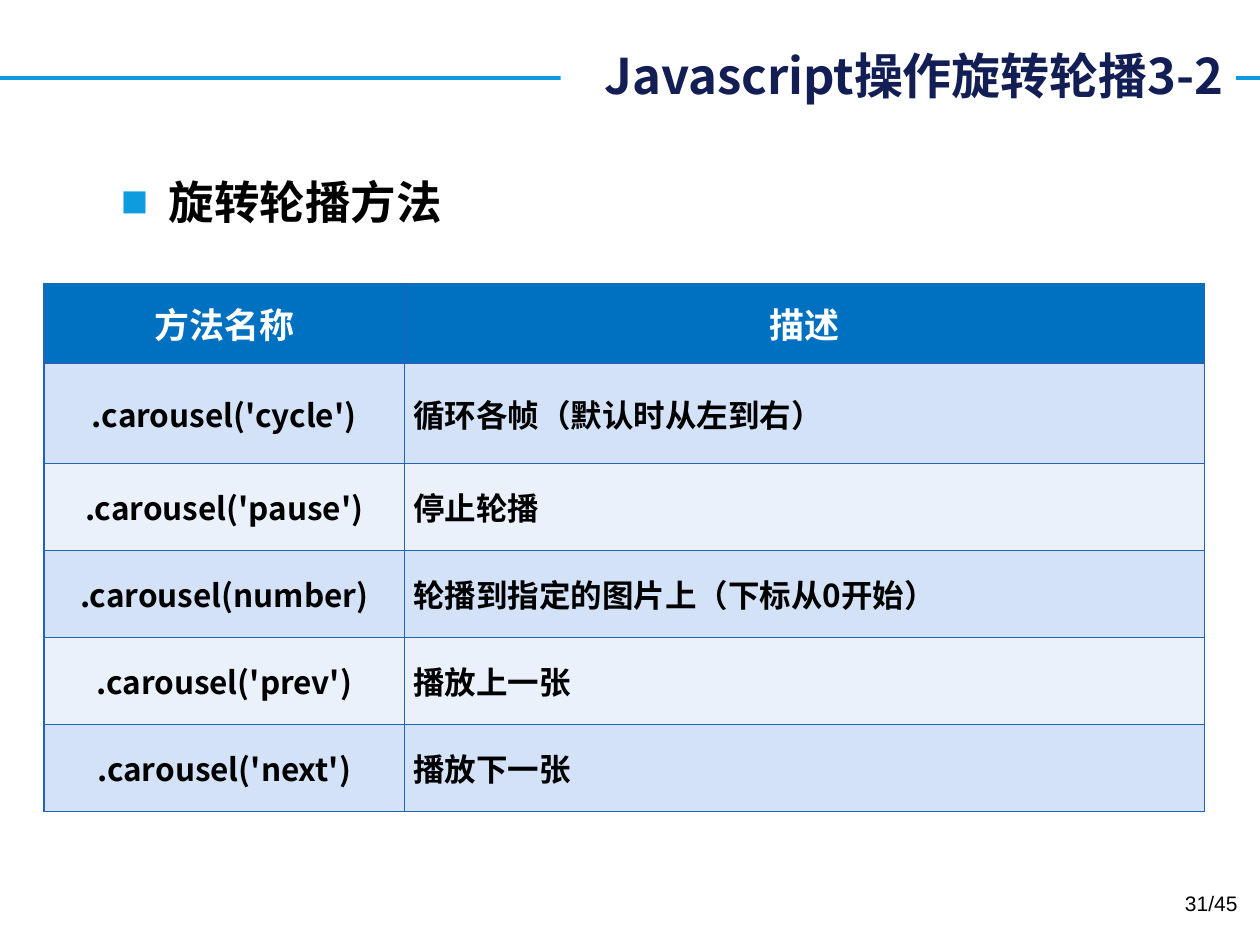
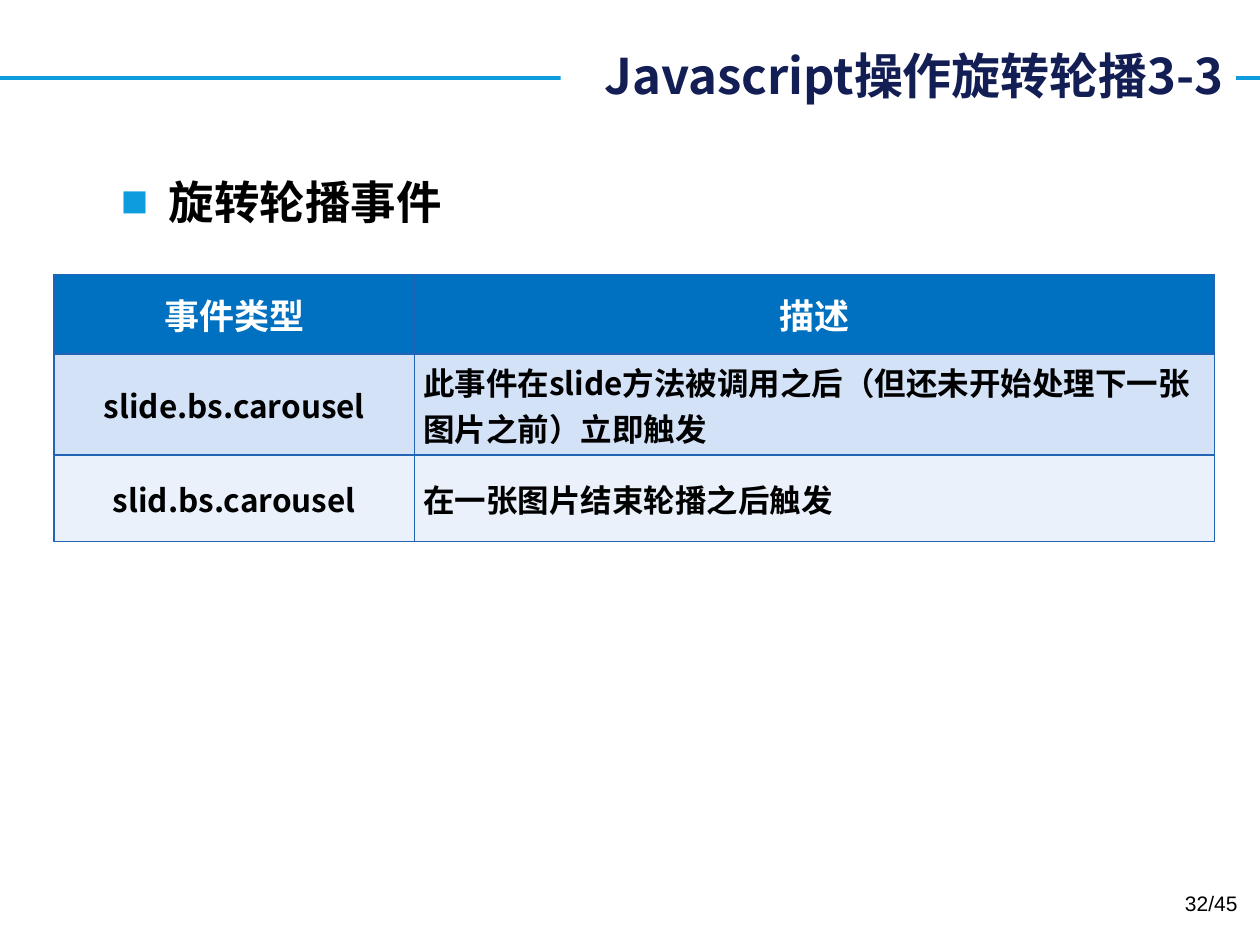
from dataclasses import dataclass

from lxml import etree
from pptx import Presentation
from pptx.dml.color import RGBColor
from pptx.enum.shapes import MSO_CONNECTOR
from pptx.enum.text import MSO_ANCHOR, MSO_AUTO_SIZE, PP_ALIGN
from pptx.oxml.ns import qn
from pptx.util import Inches, Pt

LEFT, CENTER, RIGHT = PP_ALIGN.LEFT, PP_ALIGN.CENTER, PP_ALIGN.RIGHT
TOP, MIDDLE = MSO_ANCHOR.TOP, MSO_ANCHOR.MIDDLE
NO_FIT, GROW = MSO_AUTO_SIZE.NONE, MSO_AUTO_SIZE.SHAPE_TO_FIT_TEXT
STRAIGHT = MSO_CONNECTOR.STRAIGHT


@dataclass(frozen=True)
class Theme:
    accent: str = "0E9CDE"
    title: str = "121E54"
    text: str = "000000"
    white: str = "FFFFFF"
    header: str = "0070C0"
    bands: tuple = ("D3E2F7", "EAF1FB")
    border: str = "2163B4"
    latin: str = "Arial"
    chinese: str = "Noto Sans CJK SC"
    title_size: int = 28
    list_size: int = 26
    header_size: int = 20
    cell_size: int = 18
    footer_size: int = 12


THEME = Theme()
PAGE_COUNT = 45

# Boxes are left, top, width, height in inches
SLIDE_SIZE = (10, 7.5)
TITLE_BOX = (4.45, 0.31, 5.36, 0.57)
BODY_BOX = (0.86, 1.33, 8.36, 5.62)
FOOTER_BOX = (7.59, 7.02, 2.33, 0.4)
RULE_TOP = 0.62
BULLET_INDENT = 0.38
COLUMN_WIDTHS = (2.86, 6.35)
HEADER_HEIGHT, FIRST_ROW_HEIGHT, ROW_HEIGHT = 0.63, 0.8, 0.69

SLIDES = [
    {
        "title": "Javascript操作旋转轮播3-2",
        "heading": "旋转轮播方法",
        "page": 31,
        "table_at": (0.35, 2.25),
        "rows": [
            ("方法名称", "描述"),
            (".carousel('cycle')", "循环各帧（默认时从左到右）"),
            (".carousel('pause')", "停止轮播"),
            (".carousel(number)", "轮播到指定的图片上（下标从0开始）"),
            (".carousel('prev')", "播放上一张"),
            (".carousel('next')", "播放下一张"),
        ],
    },
    {
        "title": "Javascript操作旋转轮播3-3",
        "heading": "旋转轮播事件",
        "page": 32,
        "table_at": (0.43, 2.18),
        "rows": [
            ("事件类型", "描述"),
            ("slide.bs.carousel",
             "此事件在slide方法被调用之后（但还未开始处理下一张图片之前）立即触发"),
            ("slid.bs.carousel", "在一张图片结束轮播之后触发"),
        ],
    },
]


def set_attributes(target, values):
    for name, value in values.items():
        setattr(target, name, value)


def place(shape, box):
    names = ("left", "top", "width", "height")
    set_attributes(shape, dict(zip(names, map(Inches, box))))


def paint(target, color):
    target.fill.solid()
    target.fill.fore_color.rgb = RGBColor.from_string(color)


def write(paragraph, text, size, color, font=THEME.latin, bold=True, align=LEFT):
    run = paragraph.add_run()
    run.text = text
    set_attributes(paragraph, {"alignment": align, "space_before": Pt(0)})
    set_attributes(run.font, {"size": Pt(size), "bold": bold, "name": font})
    run.font.color.rgb = RGBColor.from_string(color)
    east_asian = etree.SubElement(run.font._element, qn("a:ea"))
    east_asian.set("typeface", THEME.chinese)


def add_bullet(paragraph):
    properties = paragraph._p.get_or_add_pPr()
    indent = Inches(BULLET_INDENT)
    properties.set("marL", str(indent))
    properties.set("indent", str(-indent))
    color = etree.SubElement(properties, qn("a:buClr"))
    etree.SubElement(color, qn("a:srgbClr")).set("val", THEME.accent)
    etree.SubElement(properties, qn("a:buFont")).set("typeface", THEME.latin)
    etree.SubElement(properties, qn("a:buChar")).set("char", "■")


def add_borders(cell):
    properties = cell._tc.get_or_add_tcPr()
    for side in ("lnL", "lnR", "lnT", "lnB"):
        line = etree.SubElement(properties, qn(f"a:{side}"))
        line.set("w", str(Pt(1)))
        fill = etree.SubElement(line, qn("a:solidFill"))
        etree.SubElement(fill, qn("a:srgbClr")).set("val", THEME.border)


def add_rule(slide, top):
    rule = slide.shapes.add_connector(
        STRAIGHT, 0, Inches(top), Inches(SLIDE_SIZE[0]), Inches(top))
    rule.line.color.rgb = RGBColor.from_string(THEME.accent)
    rule.line.width = Pt(2.25)
    etree.SubElement(rule._element.spPr, qn("a:effectLst"))
    # The rule lies behind the title, whose white fill interrupts it
    slide.shapes.element.insert(2, rule._element)


def fill_title(slide, box, text):
    title = slide.shapes.title
    place(title, box)
    paint(title, THEME.white)
    set_attributes(title.text_frame, {
        "word_wrap": True, "auto_size": GROW, "vertical_anchor": MIDDLE})
    write(title.text_frame.paragraphs[0], text, THEME.title_size, THEME.title,
          font=THEME.chinese, align=RIGHT)


def fill_body(slide, box, heading):
    body = slide.placeholders[1]
    place(body, box)
    set_attributes(body.text_frame, {
        "word_wrap": True, "auto_size": NO_FIT, "vertical_anchor": TOP})
    paragraph = body.text_frame.paragraphs[0]
    add_bullet(paragraph)
    write(paragraph, heading, THEME.list_size, THEME.text)


def add_footer(slide, box, page):
    footer = slide.shapes.add_textbox(*map(Inches, box))
    footer.text_frame.word_wrap = True
    write(footer.text_frame.paragraphs[0], f"{page}/{PAGE_COUNT}",
          THEME.footer_size, THEME.text, bold=False, align=RIGHT)


def fill_cell(cell, text, row, column):
    add_borders(cell)
    set_attributes(cell, {
        "vertical_anchor": MIDDLE, "margin_top": 0, "margin_bottom": 0,
        "margin_left": Inches(0.07), "margin_right": Inches(0.07)})
    paragraph = cell.text_frame.paragraphs[0]
    if row == 0:
        paint(cell, THEME.header)
        write(paragraph, text, THEME.header_size, THEME.white, align=CENTER)
    else:
        paint(cell, THEME.bands[(row - 1) % 2])
        write(paragraph, text, THEME.cell_size, THEME.text, font=THEME.chinese,
              align=CENTER if column == 0 else LEFT)


def add_reference_table(slide, position, rows):
    heights = [HEADER_HEIGHT, FIRST_ROW_HEIGHT] + [ROW_HEIGHT] * (len(rows) - 2)
    box = (*position, sum(COLUMN_WIDTHS), sum(heights))
    table = slide.shapes.add_table(
        len(rows), len(COLUMN_WIDTHS), *map(Inches, box)).table
    for column, width in zip(table.columns, COLUMN_WIDTHS):
        column.width = Inches(width)
    for row, height in zip(table.rows, heights):
        row.height = Inches(height)
    for row_index, texts in enumerate(rows):
        for column_index, text in enumerate(texts):
            fill_cell(table.cell(row_index, column_index), text,
                      row_index, column_index)


def add_table_slide(presentation, content):
    slide = presentation.slides.add_slide(presentation.slide_layouts[1])
    paint(slide.background, THEME.white)
    add_rule(slide, RULE_TOP)
    fill_title(slide, TITLE_BOX, content["title"])
    fill_body(slide, BODY_BOX, content["heading"])
    add_footer(slide, FOOTER_BOX, content["page"])
    add_reference_table(slide, content["table_at"], content["rows"])


def main():
    presentation = Presentation()
    presentation.slide_width, presentation.slide_height = map(Inches, SLIDE_SIZE)
    for content in SLIDES:
        add_table_slide(presentation, content)
    presentation.save("out.pptx")


if __name__ == "__main__":
    main()
